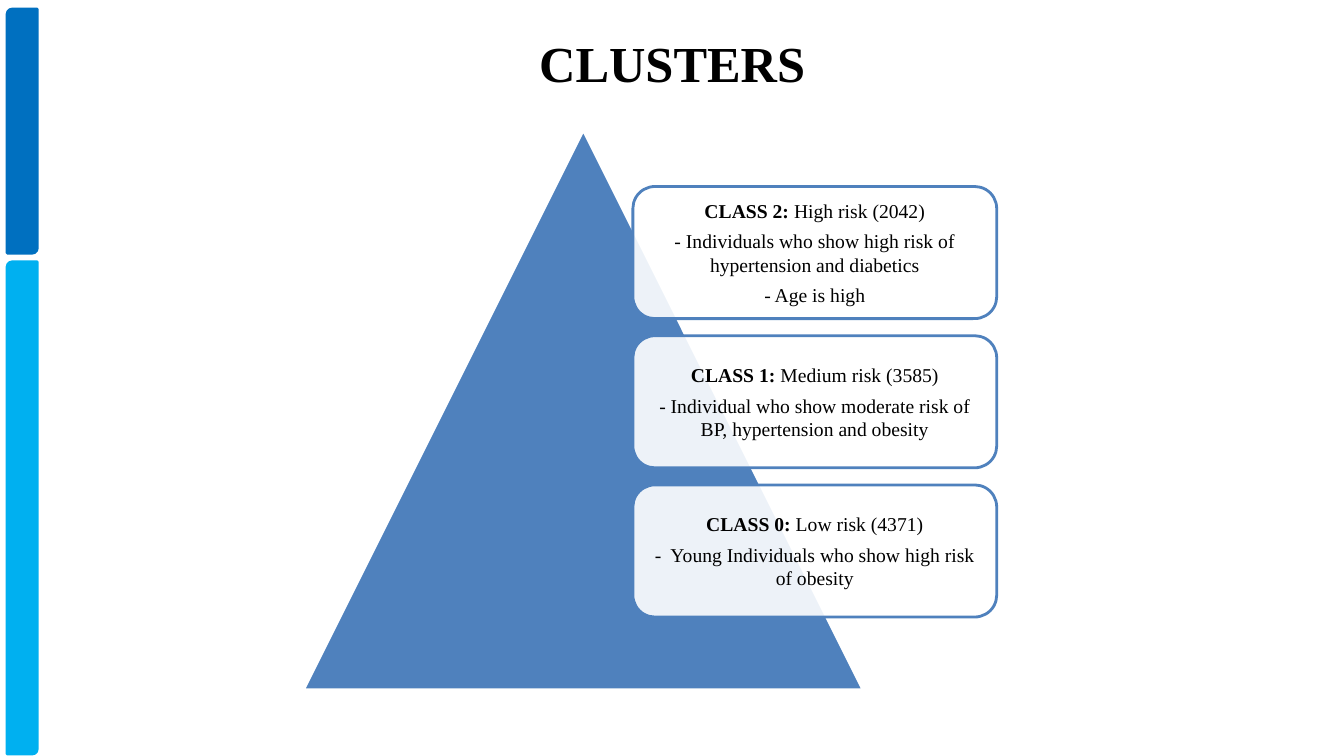
from lxml import etree
from pptx import Presentation
from pptx.dml.color import RGBColor
from pptx.enum import shapes, text
from pptx.oxml import ns
from pptx.util import Cm, Pt

# Content
TITLE = "CLUSTERS"
CLASSES = [
    ("CLASS 2:", " High risk (2042)",
     ["- Individuals who show high risk of hypertension and diabetics",
      "- Age is high"]),
    ("CLASS 1:", " Medium risk (3585)",
     ["- Individual who show moderate risk of BP, hypertension and obesity"]),
    ("CLASS 0:", " Low risk (4371)",
     ["-  Young Individuals who show high risk of obesity"]),
]
SIDE_BARS = [("0070C0", 0.23, 6.15), ("00B0F0", 6.6, 12.4)]  # colour, top, height

# Style and layout, in cm
FONT = "Times New Roman"
BLUE, WHITE, BLACK = "4F81BD", "FFFFFF", "000000"
BAR_LEFT, BAR_WIDTH = 0.18, 0.76
PYRAMID = (7.65, 3.28, 14.1, 14.1)
CARD_LEFT, CARD_TOP, CARD_WIDTH, CARD_HEIGHT = 15.95, 4.7, 9.17, 3.33
CARD_STEP = 3.76
CARD_INSET = 0.15


def colour(code):
    return RGBColor.from_string(code)


def add_figure(page, kind, place, fill, line):
    figure = page.shapes.add_shape(kind, *(Cm(v) for v in place))
    figure.shadow.inherit = False
    figure.fill.solid()
    figure.fill.fore_color.rgb = colour(fill)
    figure.line.color.rgb = colour(line)
    figure.line.width = Pt(2)
    return figure


def set_opacity(figure, percent):
    tint = figure.fill._xPr.find(ns.qn("a:solidFill"))[0]
    etree.SubElement(tint, ns.qn("a:alpha"), val=str(percent * 1000))


def prepare_frame(box, inset):
    frame = box.text_frame
    frame.word_wrap = True
    frame.vertical_anchor = text.MSO_ANCHOR.MIDDLE
    frame.margin_left = frame.margin_right = Cm(inset)
    frame.margin_top = frame.margin_bottom = Cm(inset)
    return frame


def add_span(para, words, size, bold=False):
    para.alignment = text.PP_ALIGN.CENTER
    span = para.add_run()
    span.text = words
    span.font.name = FONT
    span.font.size = Pt(size)
    span.font.bold = bold
    span.font.color.rgb = colour(BLACK)


def add_card(page, top, label, risk, notes):
    place = (CARD_LEFT, top, CARD_WIDTH, CARD_HEIGHT)
    card = add_figure(page, shapes.MSO_SHAPE.ROUNDED_RECTANGLE, place, WHITE, BLUE)
    set_opacity(card, 90)
    frame = prepare_frame(card, CARD_INSET)
    rows = [[(label, True), (risk, False)]] + [[(note, False)] for note in notes]
    for index, row in enumerate(rows):
        para = frame.add_paragraph() if index else frame.paragraphs[0]
        para.space_after = Pt(5)
        for words, bold in row:
            add_span(para, words, 14, bold)


def main():
    deck = Presentation()
    deck.slide_width, deck.slide_height = Cm(33.87), Cm(19.05)
    page = deck.slides.add_slide(deck.slide_layouts[6])

    # Side bars
    for shade, top, height in SIDE_BARS:
        add_figure(page, shapes.MSO_SHAPE.ROUND_2_DIAG_RECTANGLE,
                   (BAR_LEFT, top, BAR_WIDTH, height), shade, shade)

    # Title
    box = page.shapes.add_textbox(Cm(1.7), Cm(0.74), Cm(30.48), Cm(1.68))
    add_span(prepare_frame(box, 0).paragraphs[0], TITLE, 36, True)

    # Pyramid with one card per class
    add_figure(page, shapes.MSO_SHAPE.ISOSCELES_TRIANGLE, PYRAMID, BLUE, WHITE)
    for index, (label, risk, notes) in enumerate(CLASSES):
        add_card(page, CARD_TOP + index * CARD_STEP, label, risk, notes)

    deck.save("out.pptx")


if __name__ == "__main__":
    main()
